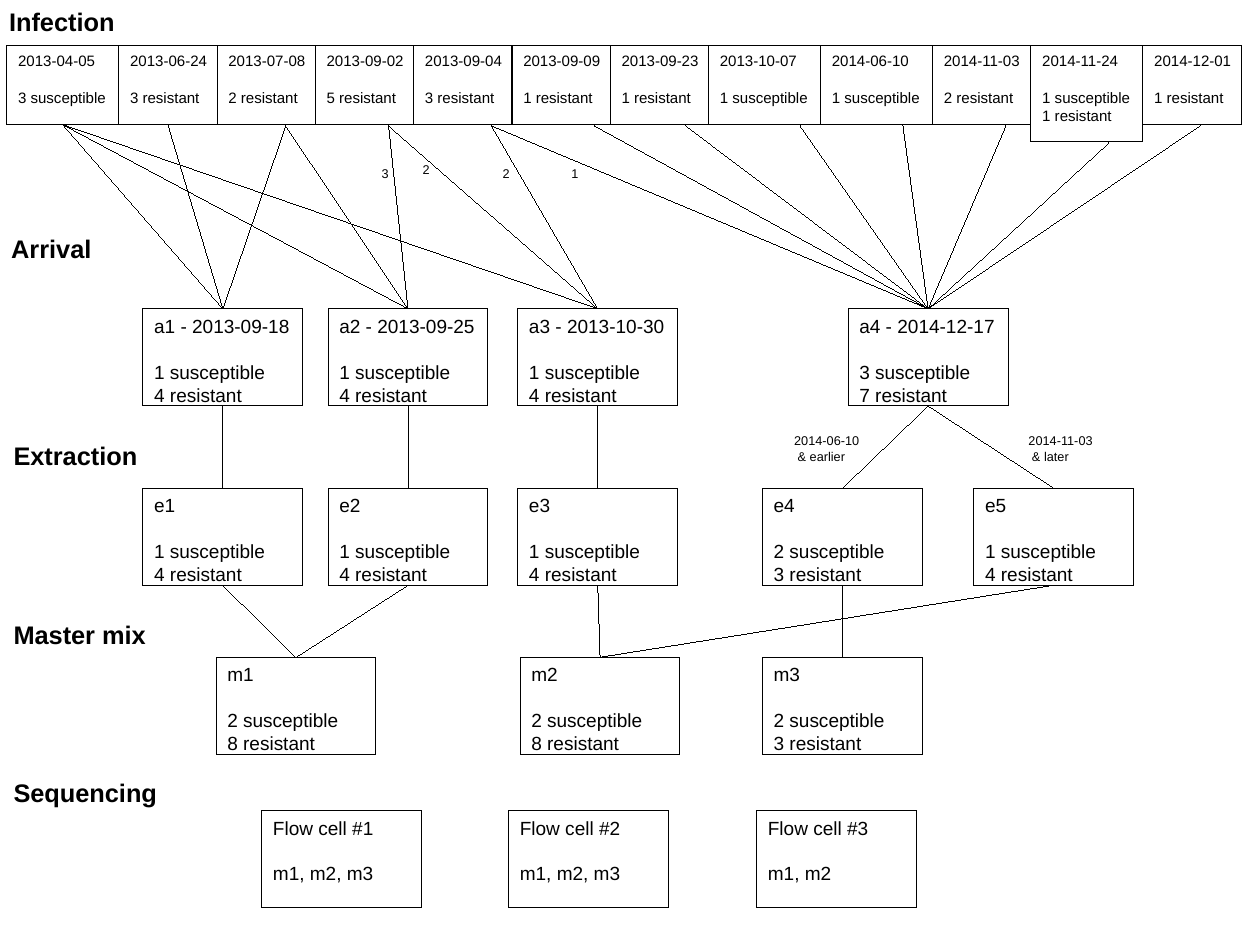
"""Build the sample-flow slide, from infection dates to sequencing flow cells."""
from lxml import etree
from pptx import Presentation
from pptx.dml.color import RGBColor
from pptx.enum.shapes import MSO_CONNECTOR, MSO_SHAPE
from pptx.enum.text import MSO_ANCHOR, MSO_AUTO_SIZE, PP_ALIGN
from pptx.oxml.ns import qn
from pptx.util import Inches, Pt

RECTANGLE, STRAIGHT = MSO_SHAPE.RECTANGLE, MSO_CONNECTOR.STRAIGHT
LEFT, TOP, NO_FIT = PP_ALIGN.LEFT, MSO_ANCHOR.TOP, MSO_AUTO_SIZE.NONE
TITLE_ONLY = 5
BOX_TOP, BOX_BOTTOM = 0, 2
BLACK, FONT, HAIRLINE = "000000", "Arial", 0.01
CM_PER_INCH, SLIDE_CM = 2.54, (28, 21)

INFECTIONS = [
    ("2013-04-05", ["3 susceptible"], ["a1", "a2", "a3"], None),
    ("2013-06-24", ["3 resistant"], ["a1"], None),
    ("2013-07-08", ["2 resistant"], ["a1", "a2"], 2.5),
    ("2013-09-02", ["5 resistant"], ["a2", "a3"], 3.4),
    ("2013-09-04", ["3 resistant"], ["a3", "a4"], 4.3),
    ("2013-09-09", ["1 resistant"], ["a4"], 5.2),
    ("2013-09-23", ["1 resistant"], ["a4"], 6),
    ("2013-10-07", ["1 susceptible"], ["a4"], 7),
    ("2014-06-10", ["1 susceptible"], ["a4"], 7.9),
    ("2014-11-03", ["2 resistant"], ["a4"], 8.8),
    ("2014-11-24", ["1 susceptible", "1 resistant"], ["a4"], 9.7),
    ("2014-12-01", ["1 resistant"], ["a4"], 10.5),
]
STAGES = [
    (2.7, [
        ("a1", 1.25, ["a1 - 2013-09-18", "1 susceptible", "4 resistant"]),
        ("a2", 2.87, ["a2 - 2013-09-25", "1 susceptible", "4 resistant"]),
        ("a3", 4.53, ["a3 - 2013-10-30", "1 susceptible", "4 resistant"]),
        ("a4", 7.42, ["a4 - 2014-12-17", "3 susceptible", "7 resistant"]),
    ]),
    (4.27, [
        ("e1", 1.25, ["e1", "1 susceptible", "4 resistant"]),
        ("e2", 2.87, ["e2", "1 susceptible", "4 resistant"]),
        ("e3", 4.53, ["e3", "1 susceptible", "4 resistant"]),
        ("e4", 6.67, ["e4", "2 susceptible", "3 resistant"]),
        ("e5", 8.52, ["e5", "1 susceptible", "4 resistant"]),
    ]),
    (5.75, [
        ("m1", 1.89, ["m1", "2 susceptible", "8 resistant"]),
        ("m2", 4.55, ["m2", "2 susceptible", "8 resistant"]),
        ("m3", 6.67, ["m3", "2 susceptible", "3 resistant"]),
    ]),
    (7.09, [
        ("f1", 2.29, ["Flow cell #1", "m1, m2, m3"]),
        ("f2", 4.45, ["Flow cell #2", "m1, m2, m3"]),
        ("f3", 6.62, ["Flow cell #3", "m1, m2"]),
    ]),
]
FLOWS = [("a1", "e1"), ("a2", "e2"), ("a3", "e3"), ("a4", "e4"), ("a4", "e5"),
         ("e1", "m1"), ("e2", "m1"), ("e3", "m2"), ("e5", "m2"), ("e4", "m3")]
TITLE = ("Infection", -0.02, 0)
HEADINGS = [("Arrival", 0, 1.99), ("Extraction", 0.02, 3.8),
            ("Master mix", 0.02, 5.37), ("Sequencing", 0.02, 6.75)]
FLOW_LABELS = [
    (["3"], 3.24, 1.4, 0.2, 0.23), (["2"], 3.6, 1.37, 0.3, 0.23),
    (["2"], 4.3, 1.4, 0.3, 0.23), (["1"], 4.9, 1.4, 0.3, 0.23),
    (["2014-06-10", " & earlier"], 6.85, 3.74, 0.8, 0.35),
    (["2014-11-03", " & later"], 8.9, 3.74, 0.8, 0.35),
]
INFECTION_LEFT, INFECTION_TOP = 0.06, 0.4
WIDE, NARROW = 0.98, 0.86
ONE_COUNT, EXTRA_COUNT = 0.69, 0.15
STAGE_WIDTH, STAGE_HEIGHT = 1.4, 0.85
HEADING_WIDTH, HEADING_HEIGHT = 1.5, 0.35


def color(value):
    return RGBColor.from_string(value)


def inches(*lengths):
    return [Inches(length) for length in lengths]


def write(shape, lines, size, bold=False, gap=0):
    frame = shape.text_frame
    frame.word_wrap, frame.auto_size, frame.vertical_anchor = True, NO_FIT, TOP
    frame.margin_left, frame.margin_right = inches(0.1, 0)
    frame.margin_top, frame.margin_bottom = inches(0.05, 0.05)
    for index, line in enumerate(lines):
        paragraph = frame.paragraphs[0] if index == 0 else frame.add_paragraph()
        paragraph.alignment = LEFT
        paragraph.space_before = Pt(gap if index == 1 else 0)
        run = paragraph.add_run()
        run.text = line
        run.font.name, run.font.size, run.font.bold = FONT, Pt(size), bold
        run.font.color.rgb = color(BLACK)


def draw_line(shape):
    shape.line.color.rgb = color(BLACK)
    shape.line.width = Pt(HAIRLINE)


def add_box(slide, lines, place, size, gap):
    box = slide.shapes.add_shape(RECTANGLE, *inches(*place))
    box.shadow.inherit = False
    box.fill.background()
    draw_line(box)
    write(box, lines, size, gap=gap)
    return box


def add_flow(slide, source, target, start_x=None):
    foot = source.top + source.height + Inches(0.01)
    flow = slide.shapes.add_connector(
        STRAIGHT, Inches(start_x or 0), foot, target.left, target.top)
    if start_x is None:
        flow.begin_connect(source, BOX_BOTTOM)
    flow.end_connect(target, BOX_TOP)
    draw_line(flow)
    etree.SubElement(flow._element.spPr, qn("a:effectLst"))


def main():
    deck = Presentation()
    deck.slide_width, deck.slide_height = inches(*(side / CM_PER_INCH for side in SLIDE_CM))
    slide = deck.slides.add_slide(deck.slide_layouts[TITLE_ONLY])

    heading, left, top = TITLE
    title = slide.shapes.title
    title.left, title.top, title.width, title.height = inches(
        left, top, HEADING_WIDTH, HEADING_HEIGHT)
    write(title, [heading], 16, bold=True)
    for heading, left, top in HEADINGS:
        place = inches(left, top, HEADING_WIDTH, HEADING_HEIGHT)
        write(slide.shapes.add_textbox(*place), [heading], 16, bold=True)

    samples = {}
    for top, stage in STAGES:
        for key, left, lines in stage:
            place = (left, top, STAGE_WIDTH, STAGE_HEIGHT)
            samples[key] = add_box(slide, lines, place, 12, gap=14.5)

    left = INFECTION_LEFT
    for date, counts, arrivals, start_x in INFECTIONS:
        width = WIDE if "susceptible" in counts[0] else NARROW
        height = ONE_COUNT + EXTRA_COUNT * (len(counts) - 1)
        place = (left, INFECTION_TOP, width, height)
        infection = add_box(slide, [date, *counts], place, 9.5, gap=12)
        for arrival in arrivals:
            add_flow(slide, infection, samples[arrival], start_x)
        left += width

    for source, target in FLOWS:
        add_flow(slide, samples[source], samples[target])
    for lines, *place in FLOW_LABELS:
        write(slide.shapes.add_textbox(*inches(*place)), lines, 8)

    deck.save("out.pptx")


if __name__ == "__main__":
    main()
